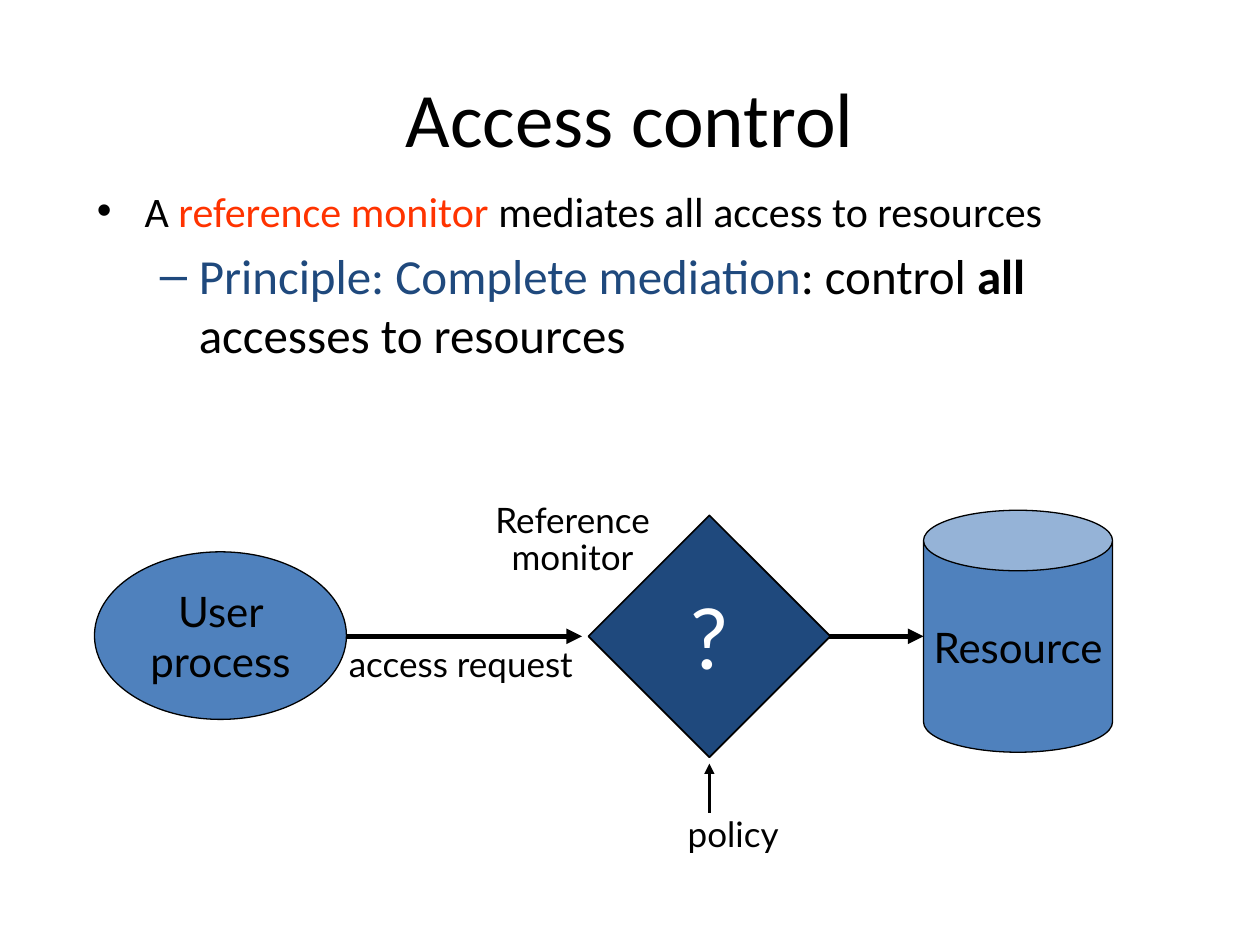
from dataclasses import dataclass

from lxml import etree
from pptx import Presentation
from pptx.dml.color import RGBColor
from pptx.enum.shapes import MSO_CONNECTOR, MSO_SHAPE
from pptx.enum.text import MSO_ANCHOR, PP_ALIGN
from pptx.oxml.ns import qn
from pptx.util import Inches, Pt

CENTER, LEFT = PP_ALIGN.CENTER, PP_ALIGN.LEFT
MIDDLE, TOP = MSO_ANCHOR.MIDDLE, MSO_ANCHOR.TOP
CAN, OVAL, DIAMOND = MSO_SHAPE.CAN, MSO_SHAPE.OVAL, MSO_SHAPE.DIAMOND
STRAIGHT = MSO_CONNECTOR.STRAIGHT


@dataclass(frozen=True)
class Theme:
    black: RGBColor = RGBColor(0, 0, 0)
    white: RGBColor = RGBColor(255, 255, 255)
    blue: RGBColor = RGBColor.from_string("4F81BD")
    navy: RGBColor = RGBColor.from_string("1F497D")
    red: RGBColor = RGBColor.from_string("FF3300")
    text_font: str = "Calibri"
    diagram_font: str = "Lato"
    title: int = 44
    bullet: int = 24
    sub_bullet: int = 28
    node: int = 24
    label: int = 20
    question: int = 48


theme = Theme()


def add_span(para, text, font, size, color, bold=False):
    span = para.add_run()
    span.text = text
    span.font.name = font
    span.font.size = Pt(size)
    span.font.color.rgb = color
    span.font.bold = bold


def set_frame(box, anchor, wrap=True):
    frame = box.text_frame
    frame.word_wrap = wrap
    frame.vertical_anchor = anchor
    return frame


deck = Presentation()
deck.slide_width, deck.slide_height = Inches(10), Inches(7.5)
page = deck.slides.add_slide(deck.slide_layouts[6])

# Title
title = page.shapes.add_textbox(Inches(0.5), Inches(0.3), Inches(9), Inches(1.25))
para = set_frame(title, MIDDLE).paragraphs[0]
para.alignment = CENTER
add_span(para, "Access control", theme.text_font, theme.title, theme.black)

# Bullets: mark, left margin, hanging indent, space before, size, mark colour, spans
bullets = [
    ("•", 0.38, 0.38, 0, theme.bullet, theme.black, [
        ("A ", theme.black, False),
        ("reference monitor", theme.red, False),
        (" mediates all access to resources", theme.black, False)]),
    ("–", 0.81, 0.31, 5.6, theme.sub_bullet, theme.navy, [
        ("Principle: Complete mediation", theme.navy, False),
        (": control ", theme.black, False),
        ("all", theme.black, True),
        (" accesses to resources", theme.black, False)]),
]
body = page.shapes.add_textbox(Inches(0.67), Inches(1.42), Inches(8.67), Inches(2.25))
frame = set_frame(body, TOP)
for index, (mark, margin, hang, before, size, color, spans) in enumerate(bullets):
    para = frame.add_paragraph() if index else frame.paragraphs[0]
    props = para._p.get_or_add_pPr()
    props.set("marL", str(Inches(margin)))
    props.set("indent", str(-Inches(hang)))
    mark_color = etree.SubElement(props, qn("a:buClr"))
    etree.SubElement(mark_color, qn("a:srgbClr")).set("val", str(color))
    etree.SubElement(props, qn("a:buFont")).set("typeface", "Arial")
    etree.SubElement(props, qn("a:buChar")).set("char", mark)
    para.space_before = Pt(before)
    for text, span_color, bold in spans:
        add_span(para, text, theme.text_font, size, span_color, bold)

# Arrows run from start to head
arrows = [
    ((2.75, 5.05), (4.62, 5.05), 3),
    ((6.33, 5.05), (7.33, 5.05), 3),
    ((5.63, 6.45), (5.63, 6.06), 1.5),
]
for start, end, width in arrows:
    arrow = page.shapes.add_connector(STRAIGHT, *map(Inches, start + end))
    arrow.line.color.rgb = theme.black
    arrow.line.width = Pt(width)
    etree.SubElement(arrow.line._get_or_add_ln(), qn("a:tailEnd")).set("type", "triangle")
    etree.SubElement(arrow._element.spPr, qn("a:effectLst"))

# Labels
labels = [
    (["Reference", "monitor"], (3.83, 4, 1.43, 0.63), CENTER, 0.7, False),
    (["access request"], (2.67, 5.05, 2.48, 0.43), LEFT, 1, True),
    (["policy"], (5.36, 6.4, 2.48, 0.43), LEFT, 1, True),
]
for lines, place, align, spacing, wrap in labels:
    label = page.shapes.add_textbox(*map(Inches, place))
    frame = set_frame(label, TOP, wrap)
    for index, line in enumerate(lines):
        para = frame.add_paragraph() if index else frame.paragraphs[0]
        para.alignment = align
        para.line_spacing = spacing
        para.space_before = Pt(4 if index else 0)
        add_span(para, line, theme.diagram_font, theme.label, theme.black)

# Nodes
nodes = [
    (CAN, "Resource", (7.33, 4.05, 1.5, 1.92), theme.blue, 0.75, theme.node, theme.black, False),
    (OVAL, "User process", (0.75, 4.38, 2, 1.33), theme.blue, 0.75, theme.node, theme.black, True),
    (DIAMOND, "?", (4.67, 4.09, 1.92, 1.92), theme.navy, 1, theme.question, theme.white, False),
]
for kind, text, place, fill, width, size, color, wrap in nodes:
    node = page.shapes.add_shape(kind, *map(Inches, place))
    node.shadow.inherit = False
    if kind == CAN:
        node.adjustments[0] = 0.32
    node.fill.solid()
    node.fill.fore_color.rgb = fill
    node.line.color.rgb = theme.black
    node.line.width = Pt(width)
    para = set_frame(node, MIDDLE, wrap).paragraphs[0]
    para.alignment = CENTER
    add_span(para, text, theme.diagram_font, size, color)

deck.save("out.pptx")
